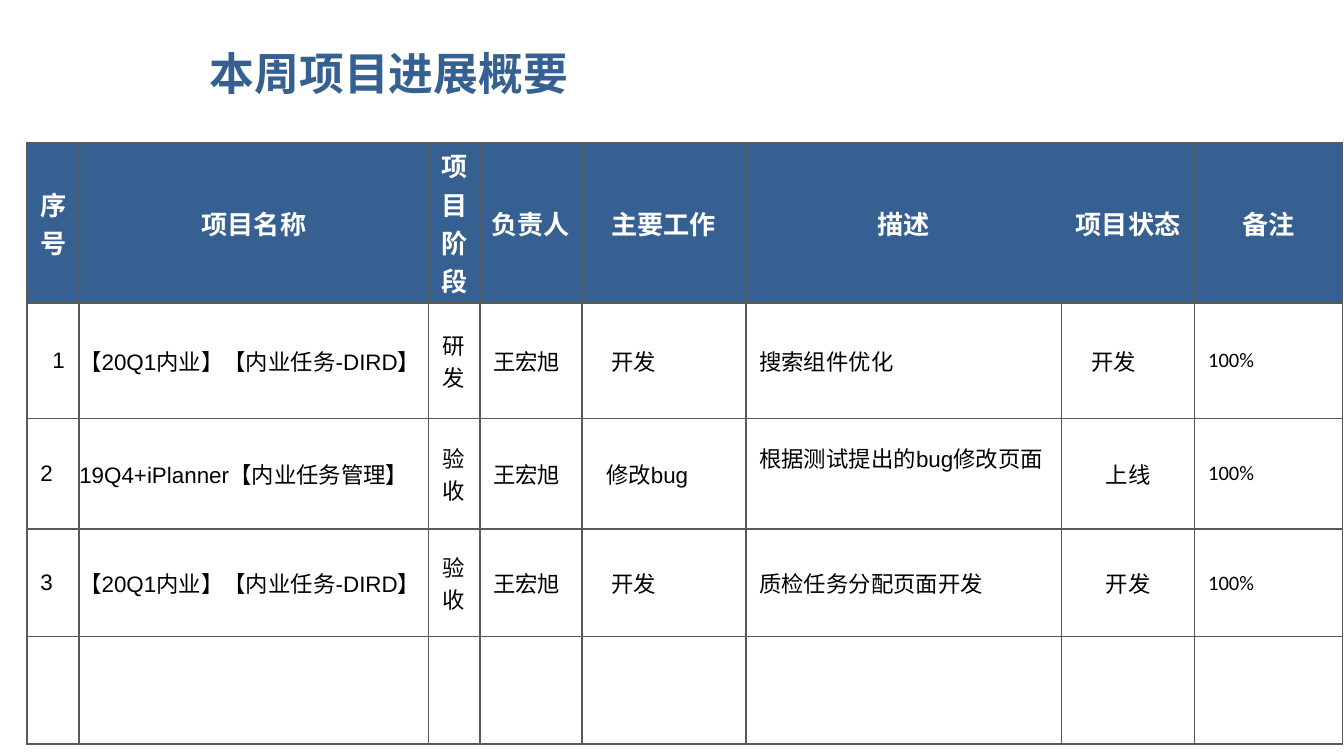
"""Build the weekly project progress slide with its status table."""
import pptx
import pptx.util
import pptx.dml.color
import pptx.enum.text
import pptx.oxml
import pptx.oxml.ns
from pptx.util import Inches

COLORS = {"blue": "376092", "white": "FFFFFF", "black": "000000", "border": "595959"}
ALIGN = pptx.enum.text.PP_ALIGN
MIDDLE = pptx.enum.text.MSO_ANCHOR.MIDDLE


def style_paragraph(para, size, color, bold=False, name="Arial", align=ALIGN.LEFT):
    """Set the font and alignment of one paragraph."""
    para.alignment = align
    para.font.name = name
    para.font.size = pptx.util.Pt(size)
    para.font.bold = bold
    para.font.color.rgb = pptx.dml.color.RGBColor.from_string(COLORS[color])


def draw_borders(cell):
    """Give a cell a thin line on all four sides."""
    properties = cell._tc.get_or_add_tcPr()
    for index, side in enumerate(("lnL", "lnR", "lnT", "lnB")):
        line = pptx.oxml.parse_xml(
            f'<a:{side} {pptx.oxml.ns.nsdecls("a")} w="12700"><a:solidFill>'
            f'<a:srgbClr val="{COLORS["border"]}"/></a:solidFill></a:{side}>')
        properties.insert(index, line)


deck = pptx.Presentation()
deck.slide_width = Inches(10)
deck.slide_height = deck.slide_width * 9 // 16
page = deck.slides.add_slide(deck.slide_layouts[5])

title = page.shapes.title
title.left, title.top = Inches(1.46), Inches(0.23)
title.width, title.height = Inches(8.03), Inches(0.62)
title.text_frame.text = "本周项目进展概要"
title.text_frame.vertical_anchor = MIDDLE
style_paragraph(title.text_frame.paragraphs[0], 24, "blue", True, "Noto Sans CJK SC")

column_widths = [0.39, 2.6, 0.38, 0.76, 1.22, 2.35, 0.99, 1.1]
row_heights = [0.54, 0.86, 0.8, 0.8, 0.8]
rows = [
    ["序号", "项目名称", "项目阶段", "负责人", "主要工作", "描述", "项目状态", "备注"],
    ["1", "【20Q1内业】【内业任务-DIRD】", "研发", "王宏旭", "开发", "搜索组件优化", "开发", "100%"],
    ["2", "19Q4+iPlanner【内业任务管理】", "验收", "王宏旭", "修改bug", "根据测试提出的bug修改页面", "上线", "100%"],
    ["3", "【20Q1内业】【内业任务-DIRD】", "验收", "王宏旭", "开发", "质检任务分配页面开发", "开发", "100%"],
    [""] * len(column_widths),
]
indents = {(1, 0): 0.09, (1, 4): 0.12, (2, 4): 0.08, (3, 4): 0.12, (1, 6): 0.12}
bottom_gaps = {(2, 5): 0.24}
centered = {(2, 6), (3, 6)}

frame = page.shapes.add_table(len(rows), len(column_widths), Inches(0.2), Inches(1.06),
                              Inches(sum(column_widths)), Inches(sum(row_heights)))
table = frame.table
table.horz_banding = False
for column, width in zip(table.columns, column_widths):
    column.width = Inches(width)
for row, height in zip(table.rows, row_heights):
    row.height = Inches(height)

for row_index, texts in enumerate(rows):
    for column_index, text in enumerate(texts):
        cell = table.cell(row_index, column_index)
        place = (row_index, column_index)
        cell.vertical_anchor = MIDDLE
        cell.text = text
        para = cell.text_frame.paragraphs[0]
        if row_index == 0:
            side, edge = 0.07, 0.03
            cell.fill.solid()
            cell.fill.fore_color.rgb = pptx.dml.color.RGBColor.from_string(COLORS["blue"])
            style_paragraph(para, 14, "white", True, align=ALIGN.CENTER)
        else:
            side, edge = (0, 0) if column_index == 1 else (0.1, 0.05)
            cell.fill.background()
            size, name = (11, "Calibri") if column_index == 7 else (12, "Arial")
            align = ALIGN.CENTER if place in centered else ALIGN.LEFT
            style_paragraph(para, size, "black", name=name, align=align)
        cell.margin_left = Inches(side + indents.get(place, 0))
        cell.margin_right = Inches(side)
        cell.margin_top = Inches(edge)
        cell.margin_bottom = Inches(edge + bottom_gaps.get(place, 0))
        draw_borders(cell)

deck.save("out.pptx")
